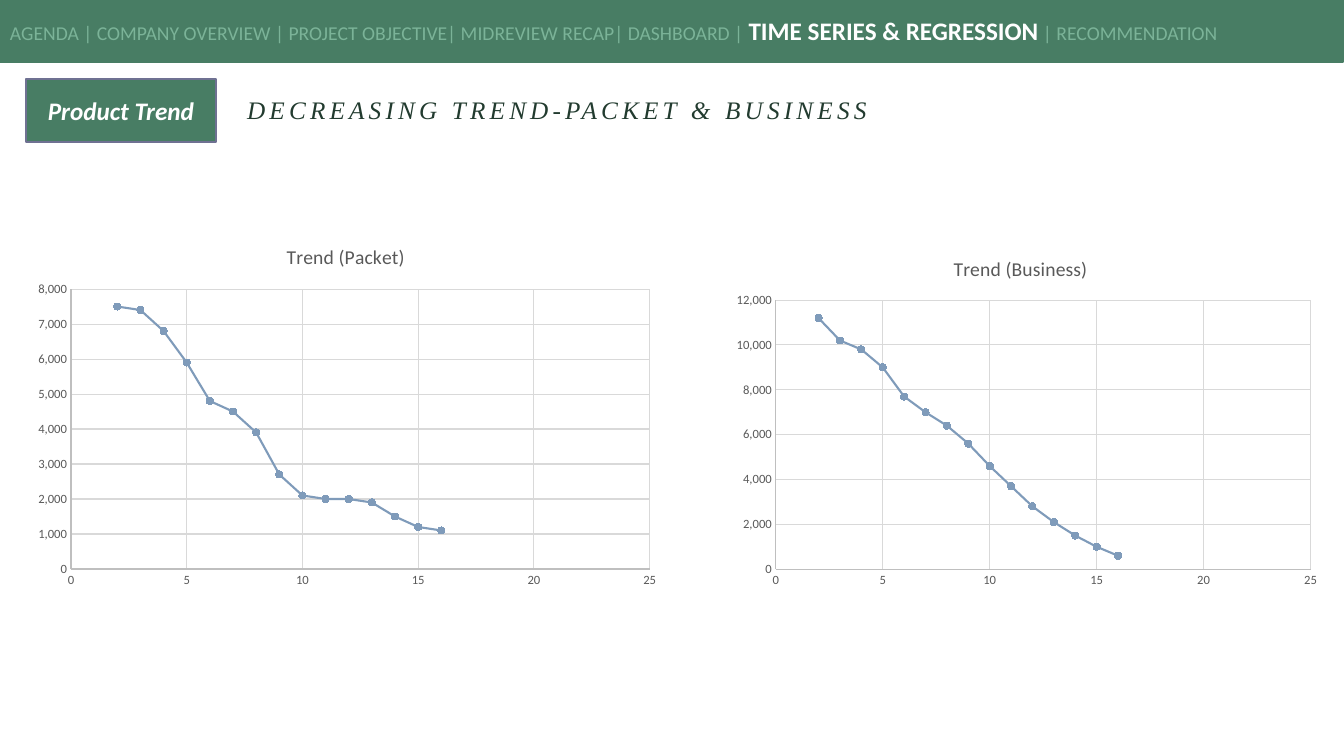
from lxml.etree import SubElement
from pptx import Presentation
from pptx.chart.data import XyChartData
from pptx.dml.color import RGBColor
from pptx.enum.chart import XL_CHART_TYPE, XL_MARKER_STYLE, XL_TICK_MARK
from pptx.enum.shapes import MSO_SHAPE
from pptx.enum.text import MSO_ANCHOR, PP_ALIGN
from pptx.oxml.ns import qn
from pptx.util import Pt

SCALE = 914400 / 100.8
COLORS = {
    "green": "487D64", "mint": "7BB398", "dark": "223B2F", "violet": "6F7192",
    "white": "FFFFFF", "blue": "7F9BBA", "gray": "595959", "axis": "BFBFBF",
    "grid": "D9D9D9",
}
CHARTS = [
    ("Trend (Packet)", (26, 228, 643, 368), (71, 289, 579, 280), (283, 240),
     (8000, 1000),
     [7500, 7400, 6800, 5900, 4800, 4500, 3900, 2700, 2100, 2000, 2000, 1900,
      1500, 1200, 1100]),
    ("Trend (Business)", (725, 240, 605, 356), (776, 300, 535, 269), (950, 252),
     (12000, 2000),
     [11200, 10200, 9800, 9000, 7700, 7000, 6400, 5600, 4600, 3700, 2800, 2100,
      1500, 1000, 600]),
]


def px(n):
    return round(n * SCALE)


def rgb(name):
    return RGBColor.from_string(COLORS[name])


def style(font, color, **values):
    font.color.rgb = rgb(color)
    for key, value in values.items():
        setattr(font, key, value)


def stroke(line, color, width):
    line.color.rgb = rgb(color)
    line.width = Pt(width)


def add_run(para, text, color, size, **values):
    run = para.add_run()
    run.text = text
    style(run.font, color, size=Pt(size), **{"name": "Calibri", **values})
    return run


def add_box(slide, box, border, align, runs):
    shape = slide.shapes.add_shape(MSO_SHAPE.RECTANGLE, *map(px, box))
    shape.shadow.inherit = False
    shape.fill.solid()
    shape.fill.fore_color.rgb = rgb("green")
    stroke(shape.line, border, 1)
    shape.text_frame.vertical_anchor = MSO_ANCHOR.MIDDLE
    para = shape.text_frame.paragraphs[0]
    para.alignment = align
    for text, color, size, values in runs:
        add_run(para, text, color, size, **values)


def set_title(slide, box, text):
    title = slide.shapes.title
    title.left, title.top, title.width, title.height = map(px, box)
    title.text_frame.vertical_anchor = MSO_ANCHOR.MIDDLE
    para = title.text_frame.paragraphs[0]
    para.alignment = PP_ALIGN.LEFT
    para.line_spacing = 0.9
    run = add_run(para, text, "dark", 18, name="Times New Roman", italic=True)
    run.font._element.set("spc", "300")


def place(parent, index, box, area, inner=False):
    for old in parent.findall(qn("c:layout")):
        parent.remove(old)
    layout = parent.makeelement(qn("c:layout"))
    parent.insert(index, layout)
    manual = SubElement(layout, qn("c:manualLayout"))
    left, top, width, height = box
    parts = [("xMode", "edge"), ("yMode", "edge"),
             ("x", round((area[0] - left) / width, 3)),
             ("y", round((area[1] - top) / height, 3))]
    if inner:
        parts = [("layoutTarget", "inner"), *parts,
                 ("w", round(area[2] / width, 3)),
                 ("h", round(area[3] / height, 3))]
    for tag, value in parts:
        SubElement(manual, qn("c:" + tag)).set("val", str(value))


def set_axis(axis, top, step):
    values = {
        "minimum_scale": 0, "maximum_scale": top, "major_unit": step,
        "major_tick_mark": XL_TICK_MARK.NONE,
        "minor_tick_mark": XL_TICK_MARK.NONE, "has_major_gridlines": True,
    }
    for key, value in values.items():
        setattr(axis, key, value)
    stroke(axis.format.line, "axis", 0.75)
    stroke(axis.major_gridlines.format.line, "grid", 0.75)
    labels = axis.tick_labels
    labels.number_format = "#,##0"
    labels.number_format_is_linked = False
    style(labels.font, "gray", size=Pt(9), name="Calibri")


def drop_gaps(plots):
    for point in plots.findall(".//" + qn("c:yVal") + "//" + qn("c:pt")):
        if point.findtext(qn("c:v")) in ("None", "", None):
            point.getparent().remove(point)


def add_trend(slide, name, box, plot, head, scale, points):
    data = XyChartData()
    series = data.add_series("Series 1")
    for x, y in enumerate([None, *points, *[None] * 6], 1):
        series.add_data_point(x, y)
    chart = slide.shapes.add_chart(
        XL_CHART_TYPE.XY_SCATTER_LINES, *map(px, box), data).chart
    chart.has_legend = False
    chart.font.name = "Calibri"
    chart.font.size = Pt(10)
    chart.has_title = True
    title = chart.chart_title
    add_run(title.text_frame.paragraphs[0], name, "gray", 14, bold=False)
    place(title._element, 1, box, head)
    plots = chart._chartSpace.find(".//" + qn("c:plotArea"))
    drop_gaps(plots)
    place(plots, 0, box, plot, inner=True)
    set_axis(chart.category_axis, 25, 5)
    set_axis(chart.value_axis, *scale)
    chart.plots[0].vary_by_categories = False
    trend = chart.plots[0].series[0]
    trend.smooth = False
    stroke(trend.format.line, "blue", 1.5)
    marker = trend.marker
    marker.style = XL_MARKER_STYLE.CIRCLE
    marker.size = 5
    marker.format.fill.solid()
    marker.format.fill.fore_color.rgb = rgb("blue")
    stroke(marker.format.line, "blue", 0.75)


def main():
    deck = Presentation()
    deck.slide_width, deck.slide_height = px(1344), px(756)
    slide = deck.slides.add_slide(deck.slide_layouts[5])
    set_title(slide, (237, 80, 1045, 63), "DECREASING TREND-PACKET & BUSINESS")
    add_box(slide, (26, 79, 190, 63), "violet", PP_ALIGN.CENTER, [
        ("Product Trend", "white", 18, {"bold": True, "italic": True})])
    add_box(slide, (0, -1, 1343, 63), "green", PP_ALIGN.LEFT, [
        ("AGENDA | COMPANY OVERVIEW | PROJECT OBJECTIVE| MIDREVIEW RECAP"
         "| DASHBOARD | ", "mint", 14, {}),
        ("TIME SERIES & REGRESSION", "white", 18, {"bold": True}),
        (" | RECOMMENDATION", "mint", 14, {})])
    for spec in CHARTS:
        add_trend(slide, *spec)
    deck.save("out.pptx")


if __name__ == "__main__":
    main()
